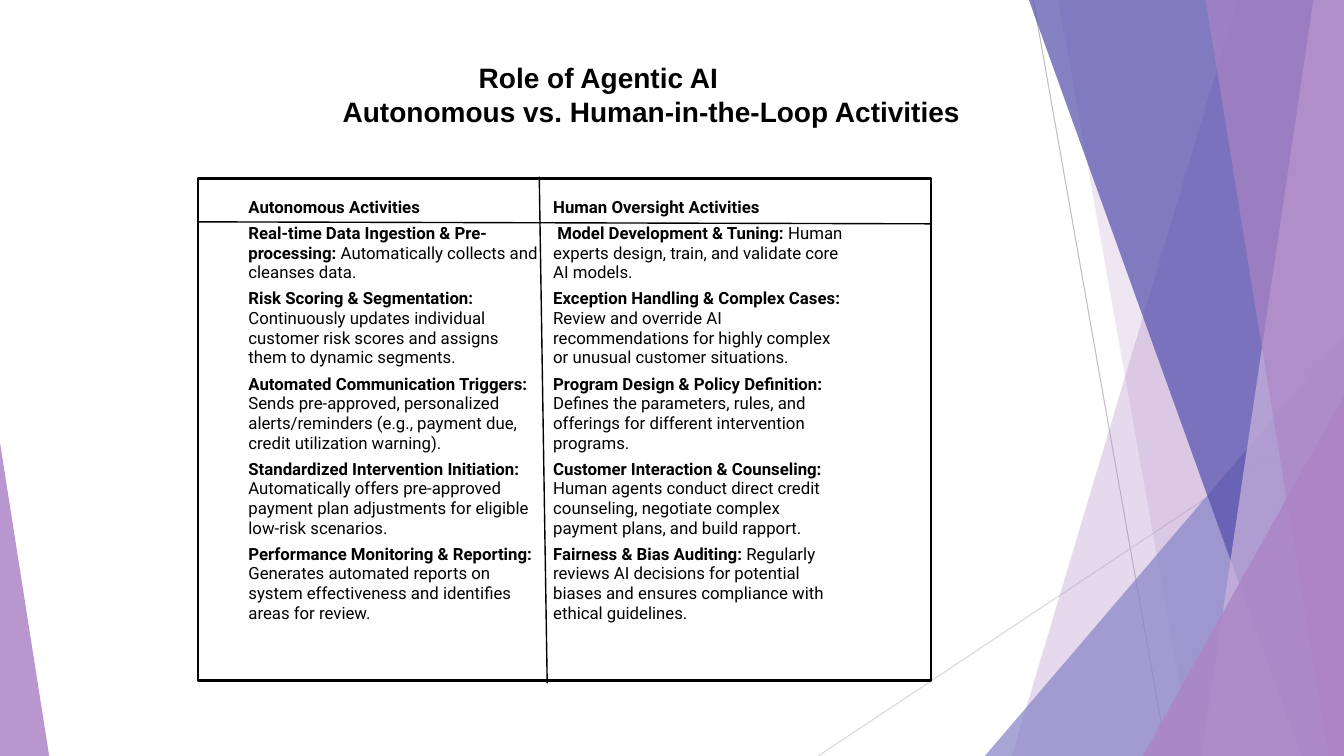
from dataclasses import dataclass

from lxml import etree
from pptx import Presentation
from pptx.dml.color import RGBColor
from pptx.enum.shapes import MSO_CONNECTOR, MSO_SHAPE
from pptx.enum.text import MSO_ANCHOR, MSO_AUTO_SIZE, PP_ALIGN
from pptx.oxml.ns import qn
from pptx.util import Cm, Pt

STRAIGHT = MSO_CONNECTOR.STRAIGHT
RECTANGLE = MSO_SHAPE.RECTANGLE
TRIANGLE = MSO_SHAPE.ISOSCELES_TRIANGLE
MIDDLE = MSO_ANCHOR.MIDDLE
NO_AUTOFIT = MSO_AUTO_SIZE.NONE
LEFT = PP_ALIGN.LEFT

PAGE_WIDTH, PAGE_HEIGHT = 33.87, 19.05


@dataclass(frozen=True)
class Theme:
    ink: str = "000000"
    purple: str = "AD84C6"
    lilac: str = "CEB5DD"
    periwinkle: str = "8784C7"
    indigo: str = "524EAB"
    gray: str = "BFBFBF"
    pale_gray: str = "D9D9D9"
    title_font: str = "Arial"
    body_font: str = "Roboto"
    title_size: int = 20
    body_size: int = 12


THEME = Theme()


@dataclass(frozen=True)
class Rule:
    """A straight line between two points, in centimetres."""
    x1: float
    y1: float
    x2: float
    y2: float
    color: str
    weight: float


@dataclass(frozen=True)
class Panel:
    """A full-height shard that reaches the right edge of the page."""
    top_x: float
    bottom_x: float
    color: str
    opacity: int


@dataclass(frozen=True)
class Wedge:
    """A right triangle standing on the bottom edge of the page."""
    left: float
    top: float
    width: float
    apex: float
    color: str
    opacity: int


@dataclass(frozen=True)
class Activity:
    name: str
    detail: str = ""


DECORATION = [
    Rule(26.04, 0, 29.41, PAGE_HEIGHT, THEME.gray, 0.75),
    Rule(PAGE_WIDTH, 10.24, 20.62, PAGE_HEIGHT, THEME.pale_gray, 0.75),
    Panel(31.19, 25.5, THEME.purple, 30),
    Panel(26.67, 30.05, THEME.purple, 20),
    Wedge(24.82, 8.46, 9.05, 1, THEME.periwinkle, 72),
    Panel(25.93, 32.79, THEME.indigo, 70),
    Panel(33.1, 30.28, THEME.lilac, 70),
    Panel(30.38, 33.48, THEME.purple, 65),
    Wedge(28.8, 9.98, 5.07, 1, THEME.purple, 80),
    Wedge(0, 11.15, 1.24, 0, THEME.purple, 85),
]

TITLE = "Role of Agentic AI\nAutonomous vs. Human-in-the-Loop Activities"

ACTIVITIES = [
    (Activity("Autonomous Activities"), Activity("Human Oversight Activities")),
    (Activity("Real-time Data Ingestion & Pre-processing:",
              " Automatically collects and cleanses data."),
     Activity(" Model Development & Tuning:",
              " Human experts design, train, and validate core AI models.")),
    (Activity("Risk Scoring & Segmentation:",
              " Continuously updates individual customer risk scores and assigns them to dynamic segments."),
     Activity("Exception Handling & Complex Cases:",
              " Review and override AI recommendations for highly complex or unusual customer situations.")),
    (Activity("Automated Communication Triggers:",
              " Sends pre-approved, personalized alerts/reminders (e.g., payment due, credit utilization warning)."),
     Activity("Program Design & Policy Definition:",
              " Defines the parameters, rules, and offerings for different intervention programs.")),
    (Activity("Standardized Intervention Initiation:",
              " Automatically offers pre-approved payment plan adjustments for eligible low-risk scenarios."),
     Activity("Customer Interaction & Counseling:",
              " Human agents conduct direct credit counseling, negotiate complex payment plans, and build rapport.")),
    (Activity("Performance Monitoring & Reporting:",
              " Generates automated reports on system effectiveness and identifies areas for review."),
     Activity("Fairness & Bias Auditing:",
              " Regularly reviews AI decisions for potential biases and ensures compliance with ethical guidelines.")),
]
ROW_HEIGHTS = [0.66, 1.63] + [2.13] * 4
COLUMN_WIDTH = 7.68

DIVIDERS = [
    Rule(13.59, 4.45, 13.79, 17.22, THEME.ink, 1),
    Rule(5, 5.59, 23.47, 5.64, THEME.ink, 1),
]


def paint(shape, color: str, opacity: int) -> None:
    shape.shadow.inherit = False
    shape.line.fill.background()
    shape.fill.solid()
    shape.fill.fore_color.rgb = RGBColor.from_string(color)
    tint = shape.fill._xPr.find(".//" + qn("a:srgbClr"))
    etree.SubElement(tint, qn("a:alpha"), val=str(opacity * 1000))


def style_span(span, font: str, size: int, bold: bool) -> None:
    span.font.name = font
    span.font.size = Pt(size)
    span.font.bold = bold
    span.font.color.rgb = RGBColor.from_string(THEME.ink)


def draw_rule(page, rule: Rule) -> None:
    line = page.shapes.add_connector(
        STRAIGHT, Cm(rule.x1), Cm(rule.y1), Cm(rule.x2), Cm(rule.y2))
    line.line.color.rgb = RGBColor.from_string(rule.color)
    line.line.width = Pt(rule.weight)
    etree.SubElement(line._element.spPr, qn("a:effectLst"))


def draw_panel(page, panel: Panel) -> None:
    builder = page.shapes.build_freeform(Cm(panel.top_x), 0)
    corners = [(PAGE_WIDTH, 0), (PAGE_WIDTH, PAGE_HEIGHT), (panel.bottom_x, PAGE_HEIGHT)]
    builder.add_line_segments([(Cm(x), Cm(y)) for x, y in corners], close=True)
    paint(builder.convert_to_shape(), panel.color, panel.opacity)


def draw_wedge(page, wedge: Wedge) -> None:
    shape = page.shapes.add_shape(
        TRIANGLE, Cm(wedge.left), Cm(wedge.top),
        Cm(wedge.width), Cm(PAGE_HEIGHT - wedge.top))
    shape.adjustments[0] = wedge.apex
    paint(shape, wedge.color, wedge.opacity)


def draw_title(page) -> None:
    title = page.shapes.title
    title.left, title.top, title.width, title.height = Cm(8.38), Cm(1.4), Cm(16.4), Cm(1.96)
    frame = title.text_frame
    frame.text = TITLE
    frame.word_wrap = True
    frame.auto_size = NO_AUTOFIT
    frame.vertical_anchor = MIDDLE
    frame.margin_right = 0
    for para in frame.paragraphs:
        para.alignment = LEFT
        style_span(para.runs[0], THEME.title_font, THEME.title_size, True)
    frame.paragraphs[0]._p.get_or_add_pPr().set("indent", str(Cm(3.43)))


def fill_cell(cell, activity: Activity) -> None:
    cell.fill.background()
    cell.vertical_anchor = MIDDLE
    cell.margin_left = cell.margin_right = Cm(0.16)
    cell.margin_top = cell.margin_bottom = Cm(0.08)
    para = cell.text_frame.paragraphs[0]
    para.text = activity.name
    style_span(para.runs[0], THEME.body_font, THEME.body_size, True)
    if activity.detail:
        span = para.add_run()
        span.text = activity.detail
        style_span(span, THEME.body_font, THEME.body_size, False)


def draw_table(page) -> None:
    table = page.shapes.add_table(
        len(ACTIVITIES), 2, Cm(6.1), Cm(4.9),
        Cm(2 * COLUMN_WIDTH), Cm(sum(ROW_HEIGHTS))).table
    table.first_row = table.horz_banding = False
    for column in table.columns:
        column.width = Cm(COLUMN_WIDTH)
    for row, height, pair in zip(table.rows, ROW_HEIGHTS, ACTIVITIES):
        row.height = Cm(height)
        for cell, activity in zip(row.cells, pair):
            fill_cell(cell, activity)


def draw_frame(page) -> None:
    box = page.shapes.add_shape(RECTANGLE, Cm(5), Cm(4.5), Cm(18.47), Cm(12.65))
    box.shadow.inherit = False
    box.fill.background()
    box.line.color.rgb = RGBColor.from_string(THEME.ink)
    box.line.width = Pt(1.5)


def main() -> None:
    deck = Presentation()
    deck.slide_width, deck.slide_height = Cm(PAGE_WIDTH), Cm(PAGE_HEIGHT)
    page = deck.slides.add_slide(deck.slide_layouts.get_by_name("Title Only"))

    # Background shards
    painters = {Rule: draw_rule, Panel: draw_panel, Wedge: draw_wedge}
    for part in DECORATION:
        painters[type(part)](page, part)

    # Heading and activity table
    draw_title(page)
    draw_table(page)

    # Outline and dividers around the table
    draw_frame(page)
    for divider in DIVIDERS:
        draw_rule(page, divider)

    deck.save("out.pptx")


if __name__ == "__main__":
    main()
